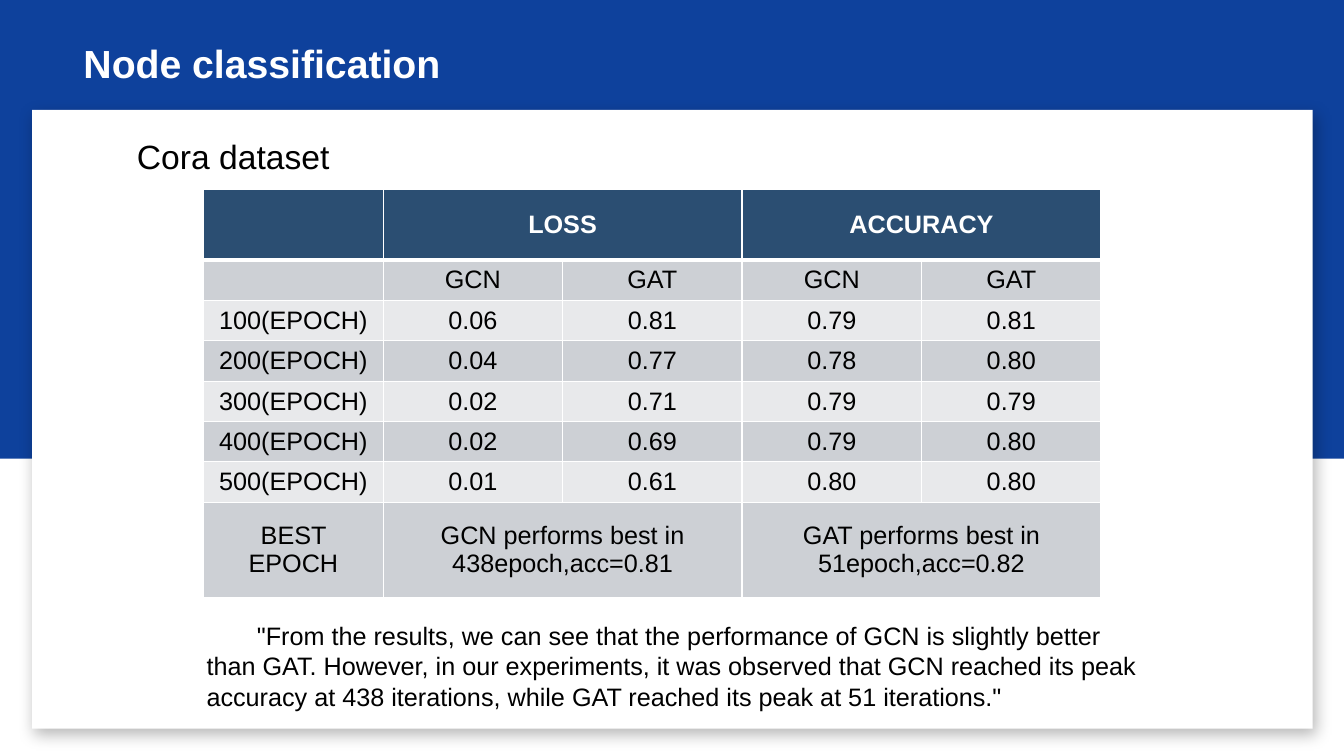
import pptx
import pptx.util
import pptx.dml.color
import pptx.enum.shapes
import pptx.enum.text
import pptx.oxml
import pptx.oxml.ns
from lxml import etree

Inches, Pt = pptx.util.Inches, pptx.util.Pt
RGB = pptx.dml.color.RGBColor.from_string
MIDDLE = pptx.enum.text.MSO_ANCHOR.MIDDLE
COLORS = {"blue": "0E419C", "white": "FFFFFF", "black": "000000",
          "header": "2B4E72", "dark_band": "CDD0D5", "light_band": "E8E9EB"}


def style_text(tf, size, color, bold=False):
    for p in tf.paragraphs:
        for r in p.runs:
            r.font.name = "Arial"
            r.font.size = Pt(size)
            r.font.bold = bold
            r.font.color.rgb = RGB(COLORS[color])


def add_text(s, box, text, size, color, bold=False):
    tf = s.shapes.add_textbox(*[Inches(v) for v in box]).text_frame
    tf.word_wrap = True
    tf.text = text
    style_text(tf, size, color, bold)
    return tf


prs = pptx.Presentation()
prs.slide_width, prs.slide_height = Inches(13.33), Inches(7.5)
s = prs.slides.add_slide(prs.slide_layouts[6])

# Blue band and white card
for box, color in (((0, 0, 13.33, 4.55), "blue"), ((0.32, 1.09, 12.7, 6.14), "white")):
    sp = s.shapes.add_shape(pptx.enum.shapes.MSO_SHAPE.RECTANGLE, *[Inches(v) for v in box])
    sp.shadow.inherit = False
    sp.fill.solid()
    sp.fill.fore_color.rgb = RGB(COLORS[color])
    sp.line.fill.background()

# The card, last in the loop, casts a soft shadow
effects = sp.element.spPr.find(pptx.oxml.ns.qn("a:effectLst"))
effects.append(pptx.oxml.parse_xml(
    f'<a:outerShdw {pptx.oxml.ns.nsdecls("a")} blurRad="{Pt(11)}" dist="{Pt(5)}" '
    f'dir="{65 * 60000}" algn="t" rotWithShape="0"><a:srgbClr val="{COLORS["black"]}">'
    '<a:alpha val="28000"/></a:srgbClr></a:outerShdw>'))

tf = add_text(s, (0.73, 0.27, 11.87, 0.64), "Node classification", 28, "white", True)
tf.vertical_anchor = pptx.enum.text.MSO_ANCHOR.BOTTOM
tf.paragraphs[0].line_spacing = 0.9

# Results table
rows = [
    ["", "LOSS", "", "ACCURACY", ""],
    ["", "GCN", "GAT", "GCN", "GAT"],
    ["100(EPOCH)", "0.06", "0.81", "0.79", "0.81"],
    ["200(EPOCH)", "0.04", "0.77", "0.78", "0.80"],
    ["300(EPOCH)", "0.02", "0.71", "0.79", "0.79"],
    ["400(EPOCH)", "0.02", "0.69", "0.79", "0.80"],
    ["500(EPOCH)", "0.01", "0.61", "0.80", "0.80"],
    ["BEST EPOCH", "GCN performs best in 438epoch,acc=0.81", "",
     "GAT performs best in 51epoch,acc=0.82", ""],
]
heights = [0.7] + [0.38] * 6 + [0.95]
table = s.shapes.add_table(len(rows), 5, Inches(2.02), Inches(1.88),
                           Inches(8.89), Inches(sum(heights))).table
for column in table.columns:
    column.width = Inches(1.78)
for i, (row, height) in enumerate(zip(rows, heights)):
    table.rows[i].height = Inches(height)
    band = "header" if i == 0 else "dark_band" if i % 2 else "light_band"
    for j, text in enumerate(row):
        cell = table.cell(i, j)
        tcPr = cell._tc.get_or_add_tcPr()
        for side in "LRTB":
            thick = (i, side) in ((0, "B"), (1, "T"))
            ln = etree.SubElement(tcPr, pptx.oxml.ns.qn(f"a:ln{side}"), w=str(Pt(3 if thick else 1)))
            fill = etree.SubElement(ln, pptx.oxml.ns.qn("a:solidFill"))
            etree.SubElement(fill, pptx.oxml.ns.qn("a:srgbClr"), val=COLORS["white"])
        cell.fill.solid()
        cell.fill.fore_color.rgb = RGB(COLORS[band])
        cell.vertical_anchor = MIDDLE
        cell.text = text
        cell.text_frame.paragraphs[0].alignment = pptx.enum.text.PP_ALIGN.CENTER
        style_text(cell.text_frame, 18, "white" if i == 0 else "black", i == 0)
for i in (0, len(rows) - 1):
    for j in (1, 3):
        table.cell(i, j).merge(table.cell(i, j + 1))

add_text(s, (1.26, 1.3, 3.31, 0.5), "Cora dataset", 24, "black")

tf = add_text(
    s, (1.95, 6.1, 9.58, 1.01),
    '"From the results, we can see that the performance of GCN is slightly better than GAT. '
    "However, in our experiments, it was observed that GCN reached its peak accuracy at "
    '438 iterations, while GAT reached its peak at 51 iterations."', 18, "black")
tf.vertical_anchor = MIDDLE
tf.paragraphs[0]._p.get_or_add_pPr().set("indent", str(Inches(0.5)))

prs.save("out.pptx")
